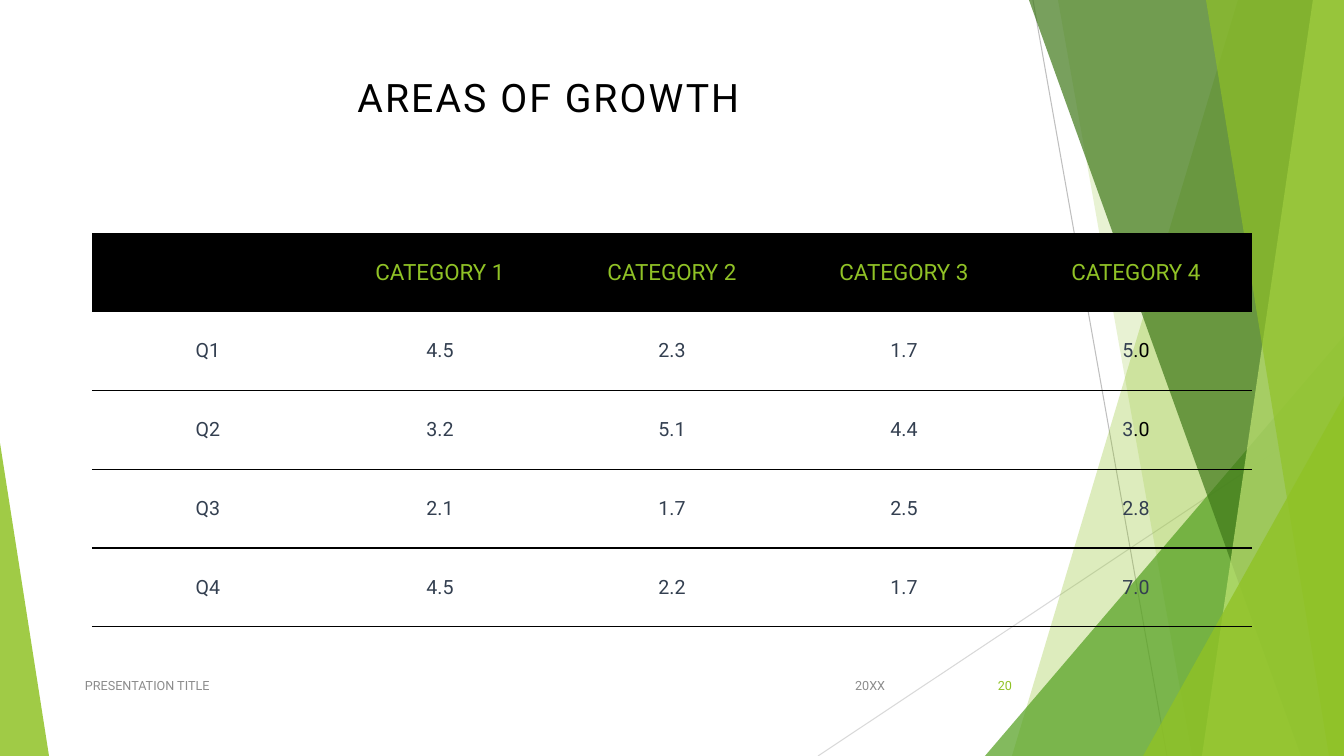
from lxml.etree import SubElement as add_node
from pptx import Presentation
from pptx.dml.color import RGBColor
from pptx.enum.shapes import MSO_CONNECTOR as Connector, MSO_SHAPE as Shape
from pptx.enum.text import MSO_ANCHOR as Anchor, PP_ALIGN as Align
from pptx.oxml import parse_xml
from pptx.oxml.ns import nsdecls, qn
from pptx.util import Pt

WIDTH, HEIGHT = 1344, 756
SCALE = 12192000 / WIDTH
FONT = "Roboto"
NO_GRID_STYLE = "{2D5ABB26-0587-4C30-8999-92F81FD0307C}"
COLORS = {
    "black": "000000",
    "lime": "90C226",
    "leaf": "54A021",
    "forest": "3F7819",
    "pale": "C0E474",
    "slate": "333F50",
    "gray": "8C8C8C",
    "silver": "BFBFBF",
    "mist": "D9D9D9",
}
ROWS = [
    ["", "CATEGORY 1", "CATEGORY 2", "CATEGORY 3", "CATEGORY 4"],
    ["Q1", "4.5", "2.3", "1.7", "5.0"],
    ["Q2", "3.2", "5.1", "4.4", "3.0"],
    ["Q3", "2.1", "1.7", "2.5", "2.8"],
    ["Q4", "4.5", "2.2", "1.7", "7.0"],
]
BLACK_DECIMALS = {(1, 4), (2, 4)}


def px(length):
    return round(length * SCALE)


def color(name):
    return RGBColor.from_string(COLORS[name])


class Page:
    def __init__(self, deck):
        self.slide = deck.slides.add_slide(deck.slide_layouts[5])
        self.shapes = self.slide.shapes

    def style(self, para, size, tone, align):
        para.alignment = align
        para.font.name = FONT
        para.font.size = Pt(size)
        para.font.color.rgb = color(tone)

    def line(self, start, end, tone):
        line = self.shapes.add_connector(
            Connector.STRAIGHT, *map(px, (*start, *end)))
        line.line.color.rgb = color(tone)
        line.line.width = Pt(0.75)
        add_node(line._element.spPr, qn("a:effectLst"))

    def tint(self, shape, tone, opacity):
        shape.shadow.inherit = False
        shape.line.fill.background()
        shape.fill.solid()
        shape.fill.fore_color.rgb = color(tone)
        hue = shape._element.spPr.find(".//" + qn("a:srgbClr"))
        add_node(hue, qn("a:alpha"), val=str(opacity * 1000))

    def facet(self, top_left, bottom_left, tone, opacity):
        builder = self.shapes.build_freeform(top_left, 0, SCALE)
        builder.add_line_segments(
            [(WIDTH, 0), (WIDTH, HEIGHT), (bottom_left, HEIGHT)])
        self.tint(builder.convert_to_shape(), tone, opacity)

    def triangle(self, left, top, width, apex, tone, opacity):
        shape = self.shapes.add_shape(
            Shape.ISOSCELES_TRIANGLE, *map(px, (left, top, width, HEIGHT - top)))
        shape.adjustments[0] = apex
        self.tint(shape, tone, opacity)

    def title(self, text, left, top, width, height):
        box = self.shapes.title
        box.left, box.top, box.width, box.height = map(px, (left, top, width, height))
        box.text_frame.vertical_anchor = Anchor.TOP
        para = box.text_frame.paragraphs[0]
        span = para.add_run()
        span.text = text
        span._r.get_or_add_rPr().set("spc", "150")
        self.style(para, 28, "black", Align.CENTER)

    def text(self, text, left, top, width, height, tone, align):
        box = self.shapes.add_textbox(*map(px, (left, top, width, height)))
        frame = box.text_frame
        frame.word_wrap = True
        frame.vertical_anchor = Anchor.MIDDLE
        frame.text = text
        self.style(frame.paragraphs[0], 9, tone, align)

    def underline(self, cell):
        cell._tc.get_or_add_tcPr().insert(0, parse_xml(
            f'<a:lnB {nsdecls("a")} w="12700"><a:solidFill>'
            f'<a:srgbClr val="{COLORS["black"]}"/></a:solidFill></a:lnB>'))

    def table(self, rows, left, top, width, height):
        table = self.shapes.add_table(
            len(rows), len(rows[0]), *map(px, (left, top, width, height))).table
        table.first_row = table.horz_banding = False
        table._tbl.tblPr.find(qn("a:tableStyleId")).text = NO_GRID_STYLE
        for row, values in enumerate(rows):
            for column, value in enumerate(values):
                cell = table.cell(row, column)
                cell.vertical_anchor = Anchor.MIDDLE
                para = cell.text_frame.paragraphs[0]
                if row == 0:
                    cell.fill.solid()
                    cell.fill.fore_color.rgb = color("black")
                    self.style(para, 16, "lime", Align.CENTER)
                else:
                    cell.fill.background()
                    self.style(para, 14, "slate", Align.CENTER)
                self.underline(cell)
                if (row, column) in BLACK_DECIMALS:
                    para.add_run().text = value[0]
                    span = para.add_run()
                    span.text = value[1:]
                    span.font.color.rgb = color("black")
                elif value:
                    para.add_run().text = value


def main():
    deck = Presentation()
    deck.slide_width, deck.slide_height = px(WIDTH), px(HEIGHT)
    page = Page(deck)

    page.line((1033, 0), (1167, HEIGHT), "silver")
    page.line((WIDTH, 406), (818, HEIGHT), "mist")
    page.facet(1238, 1012, "lime", 30)
    page.facet(1058, 1192, "lime", 20)
    page.triangle(985, 336, 359, 1, "leaf", 72)
    page.facet(1029, 1301, "forest", 70)
    page.facet(1313, 1202, "pale", 70)
    page.facet(1206, 1329, "lime", 65)
    page.triangle(1143, 396, 201, 1, "lime", 80)
    page.triangle(0, 443, 49, 0, "lime", 85)

    page.title("AREAS OF GROWTH", 75, 68, 947, 145)
    page.table(ROWS, 92, 233, 1160, 394)
    page.text("20XX", 794, 666, 101, 40, "gray", Align.RIGHT)
    page.text("PRESENTATION TITLE", 75, 666, 695, 40, "gray", Align.LEFT)
    page.text("20", 947, 666, 75, 40, "lime", Align.RIGHT)
    deck.save("out.pptx")


if __name__ == "__main__":
    main()
